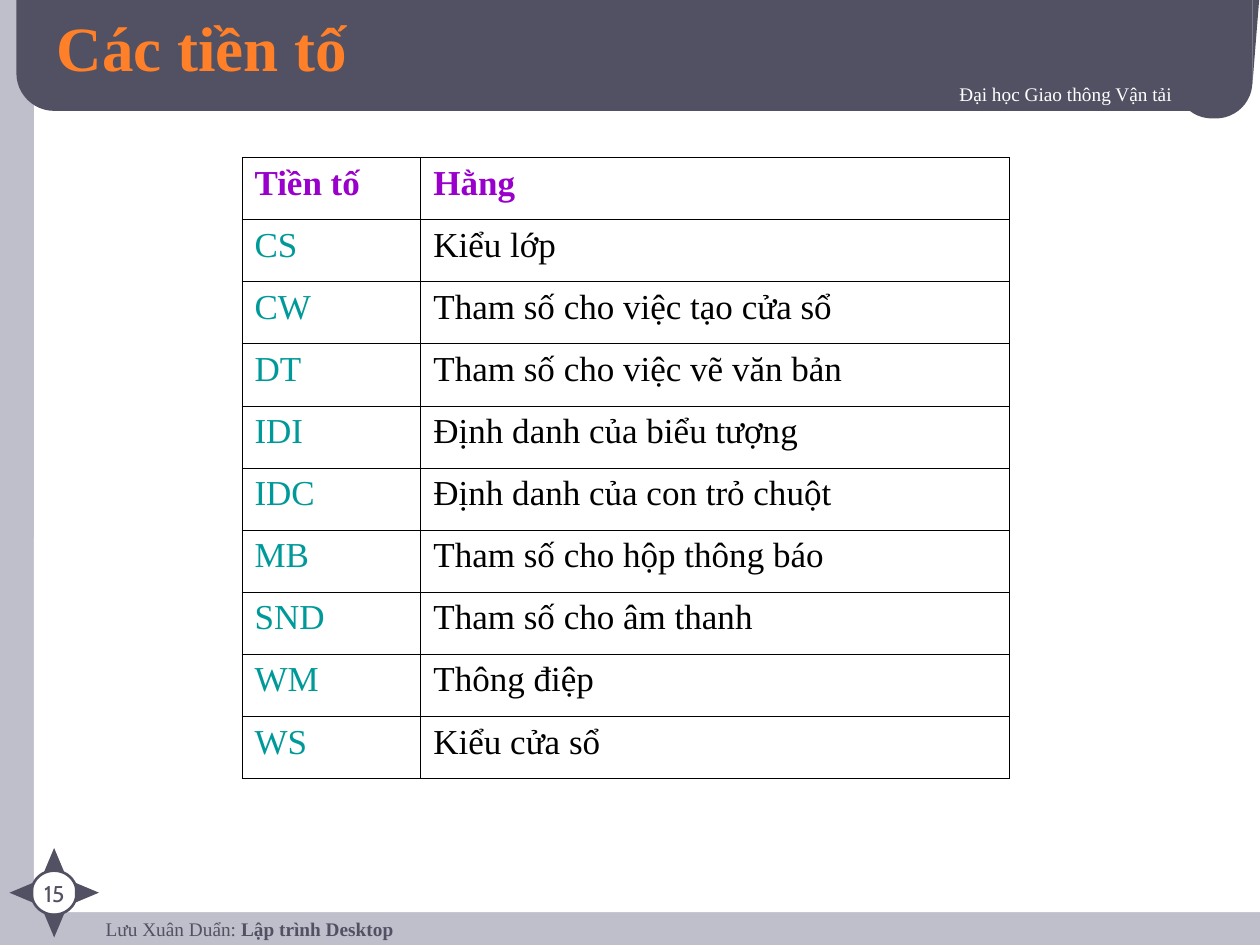
from dataclasses import dataclass

from lxml import etree
from pptx import Presentation, util as u
from pptx.dml.color import RGBColor
from pptx.enum import shapes, text
from pptx.oxml.ns import qn

SHAPE = shapes.MSO_SHAPE


@dataclass(frozen=True)
class Theme:
    slate: str = "515163"
    lavender: str = "BFBFCB"
    white: str = "FFFFFF"
    black: str = "000000"
    orange: str = "FF8029"
    purple: str = "9900CC"
    teal: str = "009999"
    font: str = "Times New Roman"
    number_font: str = "Cabin"
    title: int = 36
    body: int = 20
    number: int = 13
    small: int = 11


THEME = Theme()
COLUMNS, ROWS = 100, 75
WIDTH, HEIGHT = u.Inches(10), u.Inches(7.5)


@dataclass(frozen=True)
class Box:
    """An area measured in columns and rows of the slide grid."""
    x: float
    y: float
    w: float
    h: float

    def inner(self, x, y, w, h):
        return Box(self.x + x, self.y + y, w, h)

    def emu(self):
        col, row = WIDTH / COLUMNS, HEIGHT / ROWS
        return [round(v) for v in (self.x * col, self.y * row, self.w * col, self.h * row)]


HEADERS = ("Tiền tố", "Hằng")
PREFIXES = (
    ("CS", "Kiểu lớp"),
    ("CW", "Tham số cho việc tạo cửa sổ"),
    ("DT", "Tham số cho việc vẽ văn bản"),
    ("IDI", "Định danh của biểu tượng"),
    ("IDC", "Định danh của con trỏ chuột"),
    ("MB", "Tham số cho hộp thông báo"),
    ("SND", "Tham số cho âm thanh"),
    ("WM", "Thông điệp"),
    ("WS", "Kiểu cửa sổ"),
)


def rgb(color):
    return RGBColor.from_string(color)


def add_solid(slide, kind, box, color, adjust=None, rotation=0):
    sp = slide.shapes.add_shape(kind, *box.emu())
    sp.shadow.inherit = False
    sp.fill.solid()
    sp.fill.fore_color.rgb = rgb(color)
    sp.line.fill.background()
    sp.rotation = rotation
    if adjust is not None:
        sp.adjustments[0] = adjust
    return sp


def style(p, size, color, bold=False, font=THEME.font, align=text.PP_ALIGN.LEFT):
    p.alignment = align
    p.font.size = u.Pt(size)
    p.font.name = font
    p.font.bold = bold
    p.font.color.rgb = rgb(color)


def add_text(slide, box, content, **look):
    tf = slide.shapes.add_textbox(*box.emu()).text_frame
    tf.word_wrap = True
    p = tf.paragraphs[0]
    p.add_run().text = content
    style(p, **look)
    return tf


def add_text_shadow(p):
    for r in p.runs:
        effects = etree.SubElement(r._r.get_or_add_rPr(), qn("a:effectLst"))
        shadow = etree.SubElement(effects, qn("a:outerShdw"), dist="17961", dir="2700000")
        etree.SubElement(shadow, qn("a:srgbClr"), val=THEME.black)


def add_backdrop(slide, box):
    fill = slide.background.fill
    fill.solid()
    fill.fore_color.rgb = rgb(THEME.lavender)
    add_solid(slide, SHAPE.ROUNDED_RECTANGLE, box, THEME.white, 0.022)


def add_header(slide, box):
    add_solid(slide, SHAPE.ROUNDED_RECTANGLE, box, THEME.slate, 0.242)
    add_solid(slide, SHAPE.ROUNDED_RECTANGLE, box.inner(92, 6.5, 6.1, 6.5), THEME.slate, 0.475)
    edge = add_solid(slide, SHAPE.RIGHT_TRIANGLE, box.inner(box.w, 2.8, 0.6, 7.5),
                     THEME.slate, rotation=180)
    edge._element.spPr.find(qn("a:xfrm")).set("flipH", "1")
    school = add_text(slide, box.inner(29, 9.6, 63.7, 3.8), "Đại học Giao thông Vận tải",
                      size=THEME.small, color=THEME.white, align=text.PP_ALIGN.RIGHT)
    add_text_shadow(school.paragraphs[0])


def add_title(slide, box):
    title = slide.shapes.title
    title.left, title.top, title.width, title.height = box.emu()
    slide.shapes._spTree.append(title._element)  # in front of the header band
    tf = title.text_frame
    tf.text = "Các tiền tố"
    tf.word_wrap = True
    tf.auto_size = text.MSO_AUTO_SIZE.NONE
    tf.vertical_anchor = text.MSO_ANCHOR.MIDDLE
    p = tf.paragraphs[0]
    style(p, THEME.title, THEME.orange, bold=True)
    add_text_shadow(p)


def add_footer(slide, box):
    tf = add_text(slide, box, "Lưu Xuân Duẩn: ", size=THEME.small, color=THEME.slate)
    tf.margin_top = tf.margin_bottom = 0
    course = tf.paragraphs[0].add_run()
    course.text = "Lập trình Desktop"
    course.font.bold = True


def add_compass(slide, box):
    """Slide number in a ring with four points around it."""
    cx, cy = box.w / 2, box.h / 2
    ring = add_solid(slide, SHAPE.OVAL, box.inner(cx - 1.8, cy - 1.75, 3.6, 3.5), THEME.white)
    ring.line.color.rgb = rgb(THEME.slate)
    ring.line.width = u.Pt(1.5)
    w, h, reach = 1.6, 1.9, 2.6
    for angle, dx, dy in ((0, 0, -1), (90, 1, 0), (180, 0, 1), (270, -1, 0)):
        point = box.inner(cx + dx * reach - w / 2, cy + dy * reach - h / 2, w, h)
        add_solid(slide, SHAPE.ISOSCELES_TRIANGLE, point, THEME.slate, rotation=angle)
    add_text(slide, box.inner(cx - 2.9, cy - 1.55, 5.8, 2.2), "15", size=THEME.number,
             color=THEME.slate, font=THEME.number_font, align=text.PP_ALIGN.CENTER)


def format_cell(cell, content, color, bold):
    cell.text = content
    style(cell.text_frame.paragraphs[0], THEME.body, color, bold)
    tc_pr = cell._tc.get_or_add_tcPr()
    for side in ("lnL", "lnR", "lnT", "lnB"):
        line = etree.SubElement(tc_pr, qn(f"a:{side}"), w=str(u.Pt(0.45)))
        fill = etree.SubElement(line, qn("a:solidFill"))
        etree.SubElement(fill, qn("a:srgbClr"), val=THEME.black)
    cell.fill.background()


def add_prefix_table(slide, box):
    rows = (HEADERS, *PREFIXES)
    table = slide.shapes.add_table(len(rows), len(HEADERS), *box.emu()).table
    first = u.Inches(1.42)
    table.columns[0].width = first
    table.columns[1].width = box.emu()[2] - first
    for i, row in enumerate(rows):
        colors = (THEME.teal, THEME.black) if i else (THEME.purple, THEME.purple)
        for j, (content, color) in enumerate(zip(row, colors)):
            format_cell(table.cell(i, j), content, color, bold=i == 0)


def main():
    prs = Presentation()
    prs.slide_width, prs.slide_height = WIDTH, HEIGHT
    slide = prs.slides.add_slide(prs.slide_layouts.get_by_name("Title Only"))
    add_backdrop(slide, Box(2.7, -1.3, 100.1, 73.7))
    add_header(slide, Box(1.3, -3.6, 98.1, 12.4))
    add_footer(slide, Box(7.4, 72.8, 77.4, 3.3))
    add_compass(slide, Box(0.7, 67.25, 7.2, 7.2))
    add_title(slide, Box(3.5, 0.8, 83.6, 5.7))
    add_prefix_table(slide, Box(19.2, 12.5, 60.9, 49.3))
    prs.save("out.pptx")


if __name__ == "__main__":
    main()
